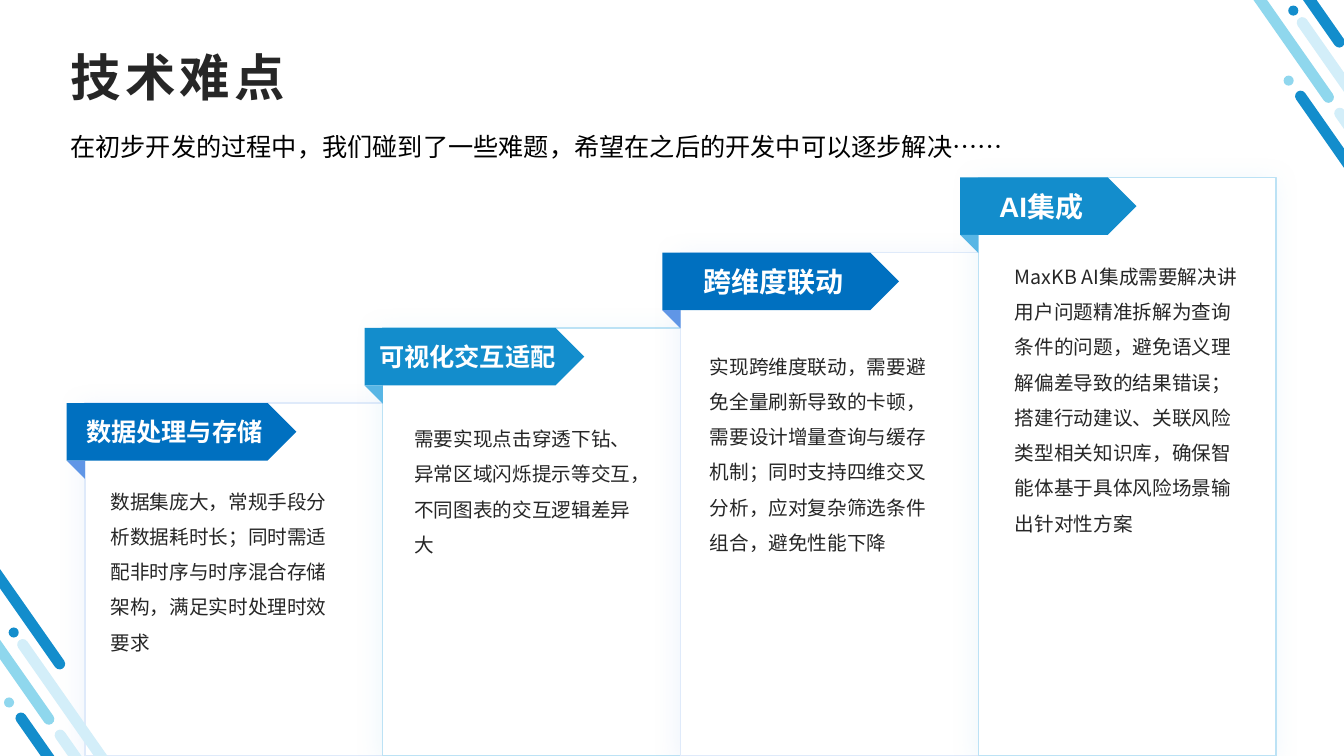
from lxml import etree
from pptx import Presentation
from pptx.dml.color import RGBColor
from pptx.enum.shapes import MSO_SHAPE
from pptx.enum.text import MSO_ANCHOR, MSO_AUTO_SIZE, PP_ALIGN
from pptx.oxml.ns import qn
from pptx.util import Pt

RECTANGLE = MSO_SHAPE.RECTANGLE
PENTAGON = MSO_SHAPE.PENTAGON
TRIANGLE = MSO_SHAPE.RIGHT_TRIANGLE
ROUNDED = MSO_SHAPE.ROUNDED_RECTANGLE
OVAL = MSO_SHAPE.OVAL
MIDDLE = MSO_ANCHOR.MIDDLE
LEFT, CENTER = PP_ALIGN.LEFT, PP_ALIGN.CENTER
NO_AUTOFIT = MSO_AUTO_SIZE.NONE
CJK_FONT = "Noto Sans CJK SC"

presentation = Presentation()
presentation.slide_width = Pt(960)
presentation.slide_height = Pt(540)
slide = presentation.slides.add_slide(presentation.slide_layouts[5])


def add_filled_shape(kind, left, top, width, height, color, rotation=0):
    shape = slide.shapes.add_shape(kind, Pt(left), Pt(top), Pt(width), Pt(height))
    shape.shadow.inherit = False
    shape.fill.solid()
    shape.fill.fore_color.rgb = RGBColor.from_string(color)
    shape.line.fill.background()
    shape.rotation = rotation
    return shape


def write_text(shape, text, size, color, font="Arial", bold=False, align=LEFT,
               spacing=None, tracking=None, wrap=True, margins=None, anchor=None):
    frame = shape.text_frame
    frame.auto_size = NO_AUTOFIT
    frame.word_wrap = wrap
    if anchor is not None:
        frame.vertical_anchor = anchor
    if margins is not None:
        frame.margin_left = frame.margin_right = Pt(margins)
        frame.margin_top = frame.margin_bottom = Pt(margins)
    paragraph = frame.paragraphs[0]
    paragraph.alignment = align
    if spacing:
        paragraph.line_spacing = spacing
    run = paragraph.add_run()
    run.text = text
    run.font.size = Pt(size)
    run.font.bold = bold
    run.font.name = font
    run.font.color.rgb = RGBColor.from_string(color)
    properties = run.font._element
    etree.SubElement(properties, qn("a:ea"), typeface=CJK_FONT)
    if tracking:
        properties.set("spc", str(tracking * 100))


title = slide.shapes.title
title.left, title.top, title.width, title.height = Pt(43.2), Pt(26.6), Pt(864), Pt(55.4)
write_text(title, "技术难点", 36, "262626", bold=True, tracking=3, anchor=MIDDLE)

subtitle = slide.shapes.add_textbox(Pt(43.2), Pt(90), Pt(764), Pt(29))
write_text(subtitle, "在初步开发的过程中，我们碰到了一些难题，希望在之后的开发中可以逐步解决……",
           18, "000000")

palettes = [
    {"banner": "0070C0", "fold": "6096E6", "border": "DFEAFA", "shadow": "A0C0F0"},
    {"banner": "138DCC", "fold": "58B6E5", "border": "BCE2F5", "shadow": "9BD3EF"},
]
steps = [
    ("数据处理与存储", 18, 164, 79, 341.3,
     "数据集庞大，常规手段分析数据耗时长；同时需适配非时序与时序混合存储架构，满足实时处理时效要求"),
    ("可视化交互适配", 18, 157, 296, 296.6,
     "需要实现点击穿透下钻、异常区域闪烁提示等交互，不同图表的交互逻辑差异大"),
    ("跨维度联动", 20, 169, 507, 244.8,
     "实现跨维度联动，需要避免全量刷新导致的卡顿，需要设计增量查询与缓存机制；"
     "同时支持四维交叉分析，应对复杂筛选条件组合，避免性能下降"),
    ("AI集成", 20, 126, 725, 180.7,
     "MaxKB AI集成需要解决讲用户问题精准拆解为查询条件的问题，避免语义理解偏差导致的结果错误；"
     "搭建行动建议、关联风险类型相关知识库，确保智能体基于具体风险场景输出针对性方案"),
]
banner_height, fold_size = 41, 13

for index, (heading, size, banner_width, body_left, body_top, body) in enumerate(steps):
    palette = palettes[index % 2]
    left = 60.7 + 212.7 * index
    top = 288 - 53.75 * index
    card = add_filled_shape(RECTANGLE, left, top, 212.7, 540 - top, "FFFFFF")
    card.line.color.rgb = RGBColor.from_string(palette["border"])
    card.line.width = Pt(1)
    effects = card._element.spPr.find(qn("a:effectLst"))
    shadow = etree.SubElement(effects, qn("a:outerShdw"), blurRad=str(Pt(18)),
                              dist=str(Pt(3)), dir="8100000", rotWithShape="0")
    shadow_color = etree.SubElement(shadow, qn("a:srgbClr"), val=palette["shadow"])
    etree.SubElement(shadow_color, qn("a:alpha"), val="17000")

    banner_left = left - fold_size
    banner = add_filled_shape(PENTAGON, banner_left, top, banner_width, banner_height,
                              palette["banner"])
    write_text(banner, heading, size, "FFFFFF", bold=True, align=CENTER, wrap=False,
               anchor=MIDDLE)
    add_filled_shape(TRIANGLE, banner_left, top + banner_height, fold_size, fold_size,
                     palette["fold"], 180)
    body_box = slide.shapes.add_textbox(Pt(body_left), Pt(body_top), Pt(160), Pt(127.5))
    write_text(body_box, body, 14, "262626", font=CJK_FONT, spacing=1.5, margins=0)

stripes = [
    (54, 495.4, 157.7, "138DCC"),
    (82, 507.6, 157.7, "D3EEF9"),
    (-23.8, 336.2, 198.7, "8FD7ED"),
    (67, 439.2, 198.7, "D3EEF9"),
    (-4.3, 334, 157.7, "138DCC"),
]
dots = [(2.9, 498.2, "90D7EE"), (6.2, 448.2, "138DCC")]

for shift_x, shift_y in [(0, 0), (914, -444.2)]:
    for left, top, length, color in stripes:
        stripe = add_filled_shape(ROUNDED, left + shift_x, top + shift_y, 7.9, length,
                                  color, 325)
        stripe.adjustments[0] = 0.5
    for left, top, color in dots:
        add_filled_shape(OVAL, left + shift_x, top + shift_y, 7.2, 7.2, color)

presentation.save("out.pptx")
